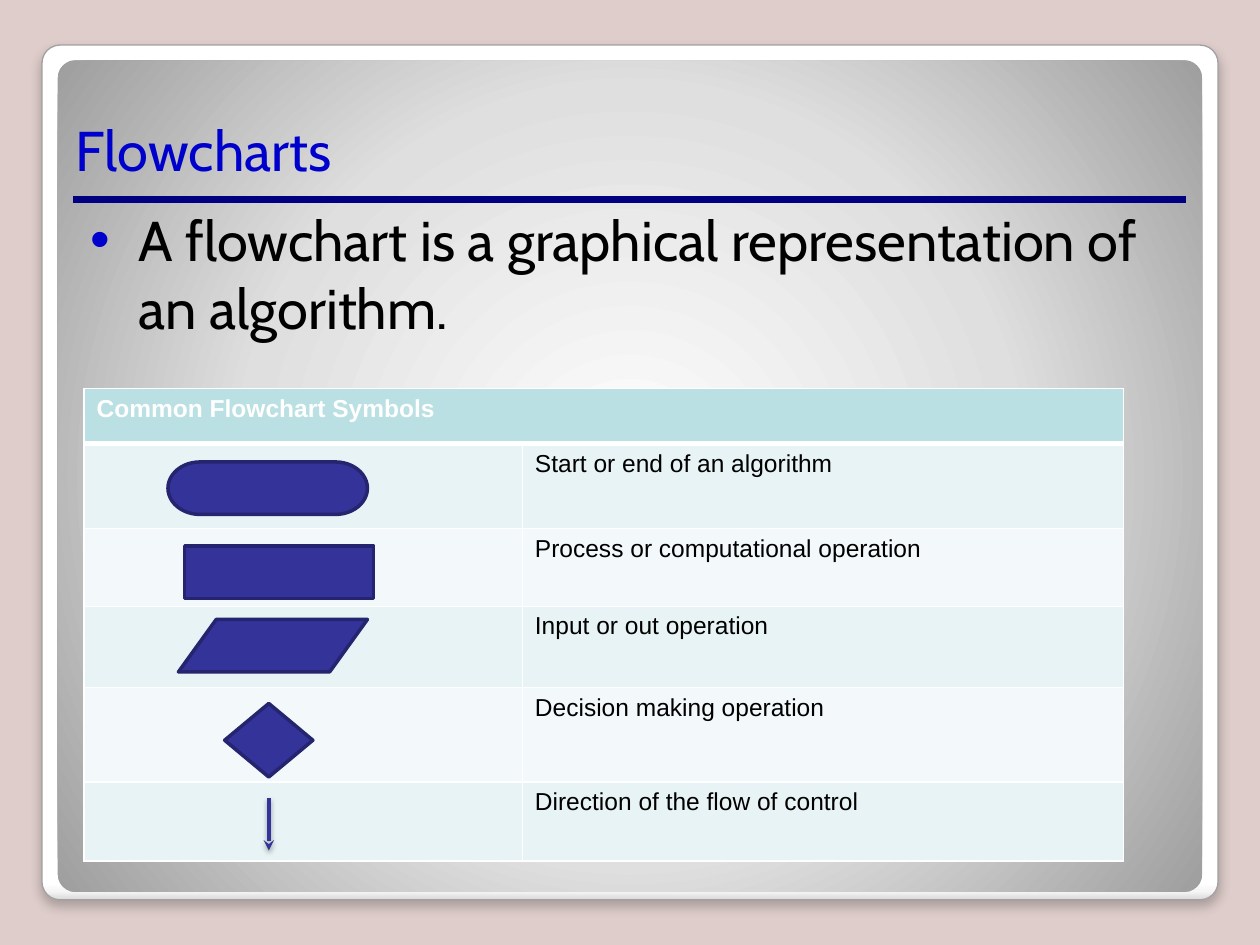
from pptx import Presentation
from pptx.dml.color import RGBColor
from pptx.enum.shapes import MSO_CONNECTOR, MSO_SHAPE
from pptx.enum.text import MSO_ANCHOR, PP_ALIGN
from pptx.oxml import parse_xml
from pptx.oxml.ns import nsdecls, qn
from pptx.util import Inches, Pt

COLS = 120  # grid columns across the 10 inch width, 12 to the inch
NAVY, BLUE, INDIGO = "000080", "0000CC", "333399"
WHITE, BLACK = "FFFFFF", "000000"
BANDS = "E7F3F4", "F3F9FA"
COL_WIDTHS = 41.75, 57.25
ROW_HEIGHTS = 5.25, 8.1, 7.4, 7.75, 9, 7.5
MEANINGS = ("Start or end of an algorithm", "Process or computational operation",
            "Input or out operation", "Decision making operation",
            "Direction of the flow of control")
SYMBOLS = (
    (MSO_SHAPE.FLOWCHART_TERMINATOR, (16, 44, 19, 5)),
    (MSO_SHAPE.FLOWCHART_PROCESS, (17.6, 52, 18, 5)),
    (MSO_SHAPE.FLOWCHART_DATA, (17, 59, 18, 5)),
    (MSO_SHAPE.FLOWCHART_DECISION, (21.4, 67, 8.4, 7)),
)


def grid(*units):
    return [Inches(10 * u / COLS) for u in units]


def rgb(color):
    return RGBColor.from_string(color)


def xml(tag, body):
    """Make a DrawingML element from its opening tag text and its content."""
    return parse_xml(f"<a:{tag} {nsdecls('a')}>{body}</a:{tag.split()[0]}>")


def add_text(tf, text, size, color, font, bold=False, align=PP_ALIGN.LEFT, before=0):
    p = tf.paragraphs[0]
    p.alignment = align
    p.space_before = Pt(before)
    r = p.add_run()
    r.text = text
    r.font.size, r.font.name, r.font.bold = Pt(size), font, bold
    r.font.color.rgb = rgb(color)
    return p


def add_line(s, start, end, color, width):
    line = s.shapes.add_connector(MSO_CONNECTOR.STRAIGHT, *grid(*start, *end))
    line.line.color.rgb = rgb(color)
    line.line.width = Pt(width)
    line._element.spPr.append(xml("effectLst", ""))
    return line


def add_shadow(shape, alpha, blur, dist):
    effects = shape._element.spPr.find(qn("a:effectLst"))
    effects.append(xml(
        f'outerShdw blurRad="{Pt(blur)}" dist="{Pt(dist)}" dir="5400000" rotWithShape="0"',
        f'<a:srgbClr val="{BLACK}"><a:alpha val="{alpha * 1000}"/></a:srgbClr>'))


def add_panel(s, box, stops, direction):
    """Add a rounded rectangle with a gradient of (percent, color) stops."""
    sp = s.shapes.add_shape(MSO_SHAPE.ROUNDED_RECTANGLE, *grid(*box))
    sp.adjustments[0] = 0.021
    sp.shadow.inherit = False
    marks = "".join(f'<a:gs pos="{pos * 1000}"><a:srgbClr val="{c}"/></a:gs>'
                    for pos, c in stops)
    sp._element.spPr.insert(2, xml('gradFill rotWithShape="1"',
                                   f"<a:gsLst>{marks}</a:gsLst>{direction}"))
    sp.line.fill.background()
    return sp


def add_backdrop(s):
    frame = add_panel(s, (4, 4.3, 112, 81.4),
                      ((0, WHITE), (98, WHITE), (99, "F6F6F6"), (100, "D8D8D8")),
                      '<a:lin ang="5400000" scaled="0"/>')
    frame.line.color.rgb = rgb("A2A0A0")
    frame.line.width = Pt(0.75)
    add_shadow(frame, 24, 6, 4)
    center = '<a:fillToRect l="50000" t="50000" r="50000" b="50000"/>'
    face = add_panel(s, (5.5, 5.75, 109, 79.2),
                     ((0, WHITE), (55, "DFDFDF"), (100, "9E9E9E")),
                     f'<a:path path="circle">{center}</a:path>')
    rule = add_line(s, (7, 19), (113, 19), NAVY, 4.5)
    for i, part in enumerate((frame, face, rule)):  # behind the placeholders
        s.shapes._spTree.insert(2 + i, part._element)


def fill_placeholder(ph, box, text, color, anchor, before=0):
    ph.left, ph.top, ph.width, ph.height = grid(*box)
    ph.text_frame.vertical_anchor = anchor
    return add_text(ph.text_frame, text, 32, color, "Cabin", before=before)


def add_bullet(p, color):
    pPr = p._p.get_or_add_pPr()
    pPr.set("marL", str(Inches(0.5)))
    pPr.set("indent", str(Inches(-0.38)))
    pPr.append(xml("buClr", f'<a:srgbClr val="{color}"/>'))
    pPr.append(xml('buFont typeface="Arial"', ""))
    pPr.append(xml('buChar char="•"', ""))


def style_cell(cell, fill, top=1, bottom=1):
    tcPr = cell._tc.get_or_add_tcPr()
    for side, width in zip("LRTB", (1, 1, top, bottom)):
        tcPr.append(xml(f'ln{side} w="{Pt(width)}"',
                        f'<a:solidFill><a:srgbClr val="{WHITE}"/></a:solidFill>'))
    cell.fill.solid()
    cell.fill.fore_color.rgb = rgb(fill)


def add_symbol_table(s):
    box = grid(8, 37, sum(COL_WIDTHS), sum(ROW_HEIGHTS))
    table = s.shapes.add_table(len(ROW_HEIGHTS), len(COL_WIDTHS), *box).table
    for col, width in zip(table.columns, grid(*COL_WIDTHS)):
        col.width = width
    for row, height in zip(table.rows, grid(*ROW_HEIGHTS)):
        row.height = height
    header = table.cell(0, 0)
    header.merge(table.cell(0, 1))
    for cell in table.rows[0].cells:
        style_cell(cell, "BBE0E3", bottom=3)
    add_text(header.text_frame, "Common Flowchart Symbols", 14, WHITE, "Arial", bold=True)
    for i, meaning in enumerate(MEANINGS):
        for cell in table.rows[i + 1].cells:
            style_cell(cell, BANDS[i % 2], top=1 if i else 3)
        add_text(table.cell(i + 1, 1).text_frame, meaning, 14, BLACK, "Arial")


def add_symbol(s, kind, box):
    sp = s.shapes.add_shape(kind, *grid(*box))
    sp.shadow.inherit = False
    sp.fill.solid()
    sp.fill.fore_color.rgb = rgb(INDIGO)
    sp.line.color.rgb = rgb("25256F")
    sp.line.width = Pt(2)


def add_flow_arrow(s):
    arrow = add_line(s, (25.6, 76), (25.6, 81), INDIGO, 2)
    arrow.line._get_or_add_ln().append(xml('tailEnd type="stealth"', ""))
    add_shadow(arrow, 38, 3.1, 1.6)


def main():
    prs = Presentation()
    prs.slide_width, prs.slide_height = Inches(10), Inches(7.5)
    s = prs.slides.add_slide(prs.slide_layouts[1])
    s.background.fill.solid()
    s.background.fill.fore_color.rgb = rgb("DECDCB")
    add_backdrop(s)
    title, body = s.placeholders
    fill_placeholder(title, (6, 6, 108, 12), "Flowcharts", BLUE, MSO_ANCHOR.BOTTOM)
    p = fill_placeholder(body, (6, 19, 108, 66),
                         "A flowchart is a graphical representation of an algorithm.",
                         BLACK, MSO_ANCHOR.TOP, before=3.6)
    add_bullet(p, BLUE)
    add_symbol_table(s)
    for kind, box in SYMBOLS:
        add_symbol(s, kind, box)
    add_flow_arrow(s)
    prs.save("out.pptx")


if __name__ == "__main__":
    main()
